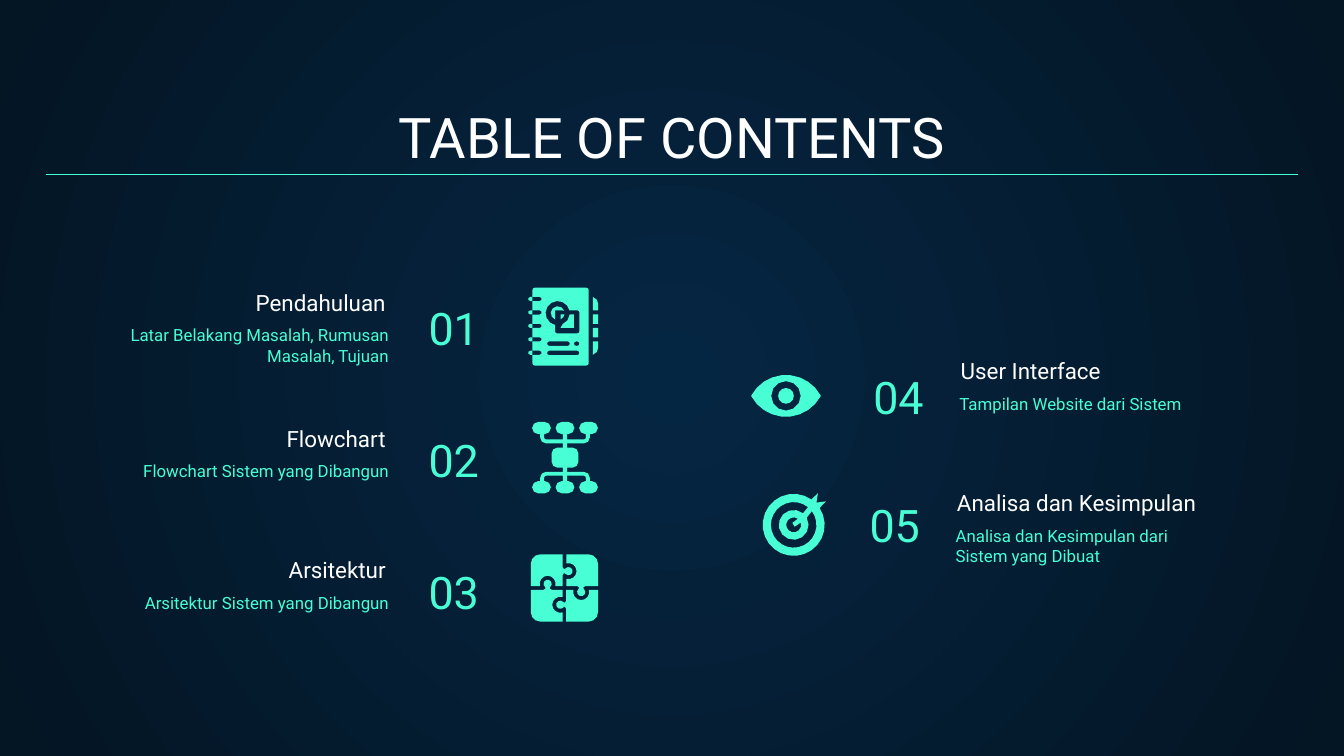
import math
import pptx
import pptx.util
import pptx.dml.color
import pptx.enum.text
import pptx.enum.shapes
import pptx.oxml
import pptx.oxml.ns
from lxml import etree

Pt = pptx.util.Pt
qn = pptx.oxml.ns.qn
Align = pptx.enum.text.PP_ALIGN
Anchor = pptx.enum.text.MSO_ANCHOR
MINT, WHITE = "48FFD5", "FFFFFF"


def color(code):
    return pptx.dml.color.RGBColor.from_string(code)


def write(slide, box, text, size=9, ink=MINT, align=Align.LEFT,
          anchor=Anchor.TOP, holder=None):
    """Set one paragraph in a new text box or in a placeholder."""
    left, top, width, height = map(Pt, box)
    if holder is None:
        holder = slide.shapes.add_textbox(left, top, width, height)
    holder.left, holder.top, holder.width, holder.height = left, top, width, height
    frame = holder.text_frame
    frame.word_wrap = True
    frame.auto_size = pptx.enum.text.MSO_AUTO_SIZE.NONE
    frame.vertical_anchor = anchor
    frame.margin_left = frame.margin_right = Pt(7.2)
    frame.margin_top = frame.margin_bottom = Pt(7.2)
    para = frame.paragraphs[0]
    para.alignment = align
    run = para.add_run()
    run.text = text
    run.font.name, run.font.size = "Roboto", Pt(size)
    run.font.color.rgb = color(ink)


# Outlines: each returns a list of points
def arc(x, y, r, start, end):
    """Points along an arc, in coarser steps where the radius is small."""
    step = 60 if r < 1.5 else 45 if r < 4 else 30 if r < 9 else 15
    count = math.ceil(abs(end - start) / step)
    turns = [math.radians(start + (end - start) * i / count) for i in range(count + 1)]
    return [(x + r * math.cos(t), y + r * math.sin(t)) for t in turns]


def ring(x, y, r):
    return arc(x, y, r, 0, 360)[:-1]


def pill(x, y, w, h, r):
    return (arc(x + r, y + r, r, 180, 270) + arc(x + w - r, y + r, r, 270, 360)
            + arc(x + w - r, y + h - r, r, 0, 90) + arc(x + r, y + h - r, r, 90, 180))


def draw(slide, left, top, *forms):
    """Draw forms, each a list of outlines, around the point left, top."""
    shapes = slide.shapes
    if len(forms) > 1:
        shapes = shapes.add_group_shape().shapes
    for form in forms:
        spots = [[(Pt(left + x), Pt(top + y)) for x, y in line] for line in form]
        pen = shapes.build_freeform(*spots[0][0], scale=1.0)
        pen.add_line_segments(spots[0][1:], close=True)
        for line in spots[1:]:
            pen.move_to(*line[0])
            pen.add_line_segments(line[1:], close=True)
        shape = pen.convert_to_shape()
        shape.shadow.inherit = False
        shape.fill.solid()
        shape.fill.fore_color.rgb = color(MINT)
        shape.line.fill.background()


# Icons
def target(slide, x, y):
    disc = arc(0, 0, 16.6, -33, 305) + [(13, -17), (12.2, -11.9), (17.3, -12.6)]
    band = arc(0, 0, 12.2, -37, 309) + arc(0, 0, 8, 309, -29)
    core = arc(0, 0, 4, -10, 305) + [(-0.7, -1.1), (0.5, 1), (3.6, -1.1)]
    draw(slide, x, y, [disc, band, core])


def eye(slide, x, y):
    lens = arc(0, 10, 21.2, -151, -29) + arc(0, -10, 21.2, 29, 151)
    draw(slide, x, y, [lens, ring(0, 0, 7.9), ring(0, 0, 4.2)])


def puzzle(slide, x, y):
    piece = (arc(-13, -13, 5, 180, 270) + [(-1, -18), (-1, -11.2), (-0.2, -10)]
             + arc(2.2, -9, 2.2, -140, 140) + [(-0.2, -8), (-1, -6.8), (-1, -1)]
             + arc(-9, -2.2, 4.3, 16, -196) + [(-18, -1)])
    forms = []
    for _ in range(4):
        forms.append([piece])
        piece = [(-v, u) for u, v in piece]
    draw(slide, x, y, *forms)


def chart(slide, x, y):
    half = ([(1.1, -12.6), (1.1, -9.7)] + arc(10.1, -10.8, 1.1, 90, 0)
            + [(11.2, -12.6), (13.3, -12.6)] + arc(10.1, -10.8, 3.2, 0, 90)
            + [(1.1, -7.6), (1.1, -5.4)])
    tree = half + [(-u, v) for u, v in reversed(half)]
    nodes = [pill(col * 12.6 - 5, top, 10, 6.5, 3.2)
             for top in (-19.1, 12.6) for col in (-1, 0, 1)]
    draw(slide, x, y, [tree, [(u, -v) for u, v in tree],
                       pill(-7.2, -5.4, 14.4, 10.8, 3.2)] + nodes)


def book(slide, x, y):
    # Page with binding slots
    slots = [5 + 7.2 * i for i in range(5)]
    page = (arc(3.6, 1.4, 1.4, 270, 180)
            + [spot for top in slots for spot in
               [(2.2, top)] + arc(6.1, top + 1.1, 1.1, -90, 90) + [(2.2, top + 2.2)]]
            + arc(3.6, 40.4, 1.4, 180, 90) + arc(31, 40.4, 1.4, 90, 0)
            + arc(31, 1.4, 1.4, 0, -90))
    rings = [arc(1.1, top + 1.1, 1.1, 90, 270) + [(2.2, top), (2.2, top + 2.2)]
             for top in slots]
    # Circle and square emblem, then text lines
    cx, cy = 15.8, 13.7
    badge = (arc(cx, cy, 6.5, -13, -258) + arc(15.4, 23.5, 1, 180, 90)
             + arc(26.4, 23.5, 1, 90, 0) + arc(26.4, 13.2, 1, 0, -90))
    lines = [pill(10.1, 28.8, 12.2, 2.4, 1.2), pill(24.5, 28.8, 2.9, 2.4, 1.2),
             pill(10.1, 33.8, 17.3, 2.4, 1.2)]
    square = arc(cx, cy, 6.5, 66, 6) + [(24.5, 14.4), (24.5, 21.6), (17.3, 21.6)]
    wedge = arc(cx, cy, 3.7, 11, 66) + [(17.3, 14.4)]
    moon = arc(cx, cy, 3.7, -22, -248) + [(14.4, 12.2)]
    # Index tabs, mirrored about the middle
    tabs = [[(34.6, 5), (36.7, 6.5), (37.4, 8.6), (37.4, 12.2), (34.6, 12.2)],
            [(34.6, 14.4), (37.4, 14.4), (37.4, 19.4), (34.6, 19.4)]]
    tabs += [[(u, 41 - v) for u, v in tab] for tab in tabs]
    draw(slide, x, y, [page, badge] + lines, [square, wedge, moon], rings, tabs)


# Regions
def header(slide, box):
    left, top, width, height = box
    write(slide, box, "TABLE OF CONTENTS", size=30, ink=WHITE, align=Align.CENTER,
          anchor=Anchor.BOTTOM, holder=slide.shapes.title)
    rule = slide.shapes.add_connector(
        pptx.enum.shapes.MSO_CONNECTOR.STRAIGHT,
        Pt(left), Pt(top + 43.2), Pt(left + width), Pt(top + 43.2))
    rule.line.color.rgb = color(MINT)
    rule.line.width = Pt(0.75)
    etree.SubElement(rule.element.spPr, qn("a:effectLst"))


def entry(slide, left, top, drop, number, name, note, right=False):
    """Place a number, and a heading and note that start drop points lower."""
    if right:
        places, sides = (98.6, 97.9, 0), (Align.LEFT, Align.RIGHT)
    else:
        places, sides = (0, 6.5, 172.1), (Align.RIGHT, Align.LEFT)
    head, body, digit = [left + place for place in places]
    write(slide, (head, top + drop, 163.4, 15.1), name, size=12, ink=WHITE,
          align=sides[0], anchor=Anchor.BOTTOM)
    write(slide, (body, top + drop + 5.6, 149 if right else 158.4, 39.6), note,
          align=sides[0])
    write(slide, (digit, top, 92.9, 47.5), number, size=24,
          align=sides[1], anchor=Anchor.BOTTOM)


def backdrop(slide):
    fill = slide.background.fill
    fill.gradient()
    for stop, code in zip(fill.gradient_stops, ("052643", "041523")):
        stop.color.rgb = color(code)
    grad = next(slide.element.iter(qn("a:gradFill")))
    grad.remove(grad.find(qn("a:lin")))
    way = etree.SubElement(grad, qn("a:path"), {"path": "circle"})
    etree.SubElement(way, qn("a:fillToRect"), {side: "50000" for side in "ltrb"})


def main():
    deck = pptx.Presentation()
    deck.slide_width, deck.slide_height = Pt(720), Pt(405)
    slide = deck.slides.add_slide(deck.slide_layouts[5])
    backdrop(slide)
    header(slide, (24.5, 50.4, 671, 47.5))

    # Left column
    entry(slide, 50.4, 149.8, 11.5, "01", "Pendahuluan",
          "Latar Belakang Masalah, Rumusan Masalah, Tujuan")
    entry(slide, 50.4, 220.3, 13.7, "02", "Flowchart", "Flowchart Sistem yang Dibangun")
    entry(slide, 50.4, 290.9, 13.7, "03", "Arsitektur", "Arsitektur Sistem yang Dibangun")
    book(slide, 283, 154.1)
    chart(slide, 302.7, 245.2)
    puzzle(slide, 302.4, 315)

    # Right column
    entry(slide, 409, 186.5, 11.5, "04", "User Interface",
          "Tampilan Website dari Sistem", right=True)
    entry(slide, 407, 254.9, 13.7, "05", "Analisa dan Kesimpulan",
          "Analisa dan Kesimpulan dari Sistem yang Dibuat", right=True)
    eye(slide, 421.1, 212.1)
    target(slide, 425.2, 281.2)
    deck.save("out.pptx")


if __name__ == "__main__":
    main()
